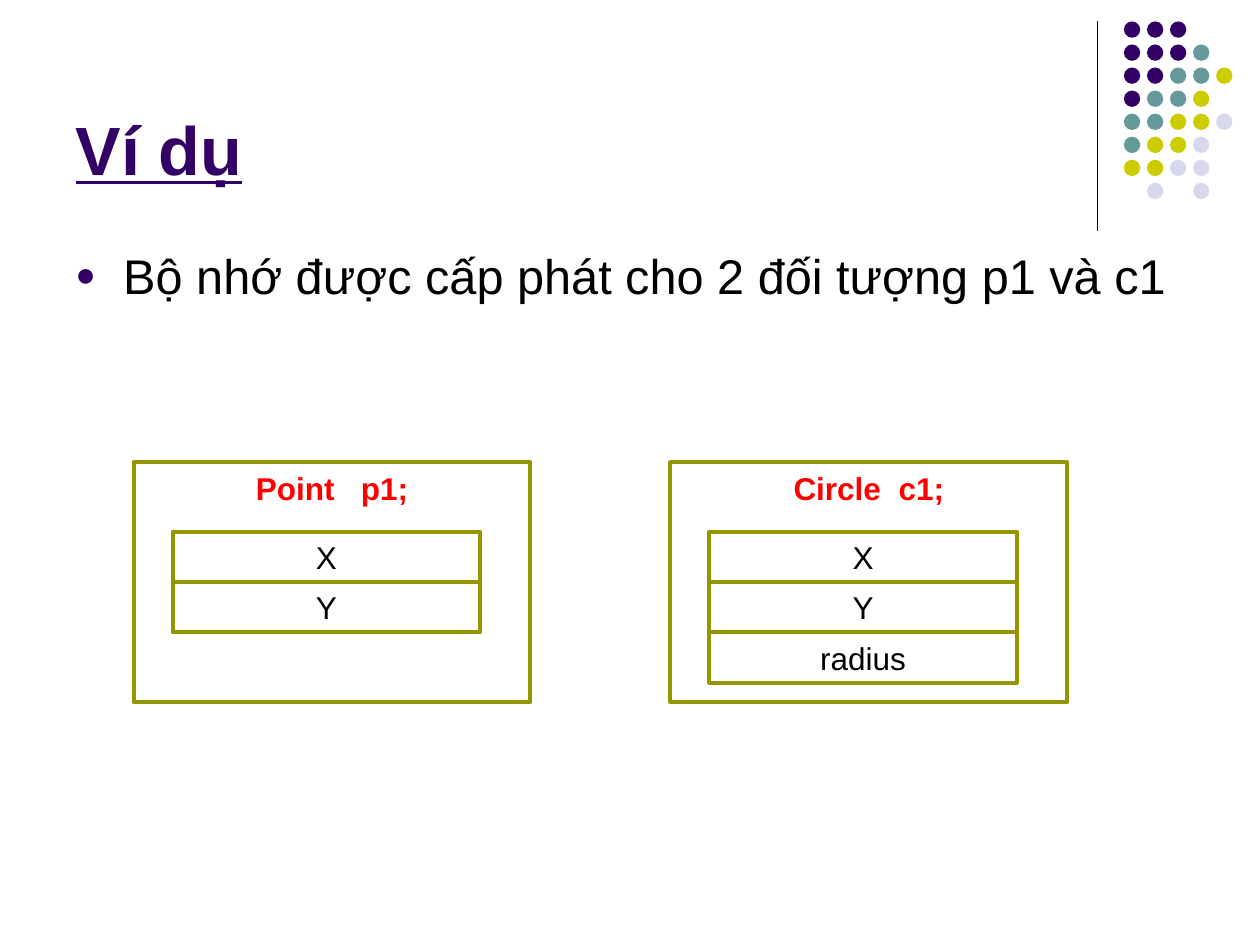
from lxml.etree import SubElement
from pptx import Presentation
from pptx.dml.color import RGBColor
from pptx.enum.shapes import MSO_CONNECTOR, MSO_SHAPE
from pptx.enum.text import MSO_ANCHOR, MSO_AUTO_SIZE, PP_ALIGN
from pptx.oxml.ns import qn
from pptx.util import Inches, Pt

COLORS = {"purple": "330066", "teal": "669999", "lime": "CCCC00", "lilac": "D8D8EC",
          "olive": "959500", "red": "FF0000", "black": "000000"}


def color(name):
    return RGBColor.from_string(COLORS[name])


def write(paragraph, text, ink, **formats):
    run = paragraph.add_run()
    run.text = text
    run.font.color.rgb = color(ink)
    for key, value in {"name": "Arial", **formats}.items():
        setattr(run.font, key, value)
    return run


deck = Presentation()
deck.slide_width, deck.slide_height = Inches(10), Inches(7.5)
slide = deck.slides.add_slide(deck.slide_layouts[5])

# Corner ornament: a rule and a grid of dots, one letter per dot
rule = slide.shapes.add_connector(MSO_CONNECTOR.STRAIGHT, Inches(8.71), Inches(0.17),
                                  Inches(8.71), Inches(1.83))
rule.line.color.rgb = color("black")
rule.line.width = Pt(0.75)
SubElement(rule._element.spPr, qn("a:effectLst"))

DOT_COLORS = {"P": "purple", "T": "teal", "L": "lime", "I": "lilac"}
DOT_ROWS = ["PPP", "PPPT", "PPTTL", "PTTL", "TTLLI", "TLLI", "LLII", " I I"]
DOT_LEFT, DOT_TOP, DOT_PITCH, DOT_SIZE = 8.92, 0.17, 0.183, 0.13
ornament = slide.shapes.add_group_shape()
for row, letters in enumerate(DOT_ROWS):
    for column, letter in enumerate(letters):
        if letter in DOT_COLORS:
            dot = ornament.shapes.add_shape(
                MSO_SHAPE.OVAL, Inches(DOT_LEFT + column * DOT_PITCH),
                Inches(DOT_TOP + row * DOT_PITCH), Inches(DOT_SIZE), Inches(DOT_SIZE))
            dot.shadow.inherit = False
            dot.fill.solid()
            dot.fill.fore_color.rgb = color(DOT_COLORS[letter])
            dot.line.fill.background()

# Title
title = slide.shapes.title
title.left, title.top, title.width, title.height = map(Inches, (0.5, 0.13, 8.25, 1.42))
title.text_frame.auto_size = MSO_AUTO_SIZE.NONE
title.text_frame.vertical_anchor = MSO_ANCHOR.BOTTOM
heading = title.text_frame.paragraphs[0]
heading.alignment = PP_ALIGN.LEFT
write(heading, "Ví dụ", "purple", size=Pt(39), bold=True, underline=True)

# Bulleted statement
statement = slide.shapes.add_textbox(*map(Inches, (0.5, 1.9, 9, 0.93)))
statement.text_frame.word_wrap = True
bullet_line = statement.text_frame.paragraphs[0]
bullet_format = bullet_line._p.get_or_add_pPr()
bullet_format.set("marL", str(Inches(0.38)))
bullet_format.set("indent", str(-Inches(0.38)))
bullet_color = SubElement(bullet_format, qn("a:buClr"))
SubElement(bullet_color, qn("a:srgbClr"), val=COLORS["purple"])
SubElement(bullet_format, qn("a:buSzPct"), val="70000")
SubElement(bullet_format, qn("a:buFont"), typeface="Arial")
SubElement(bullet_format, qn("a:buChar"), char="●")
write(bullet_line, "Bộ nhớ được cấp phát cho 2 đối tượng p1 và c1", "black", size=Pt(27.8))

# Memory blocks: the object's frame, then one cell per member
OBJECTS = [  # left, type, variable, extra gap between them in points, members
    (1.06, "Point", "p1;", 10, ["X", "Y"]),
    (5.32, "Circle", "c1;", 5, ["X", "Y", "radius"]),
]
FRAME_TOP, CELL_TOP, CELL_INDENT, CELL_HEIGHT = 3.67, 4.22, 0.31, 0.4
for left, type_name, variable, gap, members in OBJECTS:
    block = slide.shapes.add_group_shape()
    boxes = [(left, FRAME_TOP, 3.15, 1.9)]
    boxes += [(left + CELL_INDENT, CELL_TOP + i * CELL_HEIGHT, 2.44, CELL_HEIGHT)
              for i in range(len(members))]
    for box, member in zip(boxes, [None, *members]):
        cell = block.shapes.add_shape(MSO_SHAPE.RECTANGLE, *map(Inches, box))
        cell.shadow.inherit = False
        cell.fill.background()
        cell.line.color.rgb = color("olive")
        cell.line.width = Pt(2.25)
        cell.text_frame.word_wrap = True
        cell.text_frame.vertical_anchor = MSO_ANCHOR.TOP
        label = cell.text_frame.paragraphs[0]
        label.alignment = PP_ALIGN.CENTER
        if member:
            write(label, member, "black", size=Pt(18))
        else:
            for part in (type_name, " ", variable):
                run = write(label, part, "red", size=Pt(18), bold=True)
                if part == " ":
                    run.font._element.set("spc", str(gap * 100))

deck.save("out.pptx")
